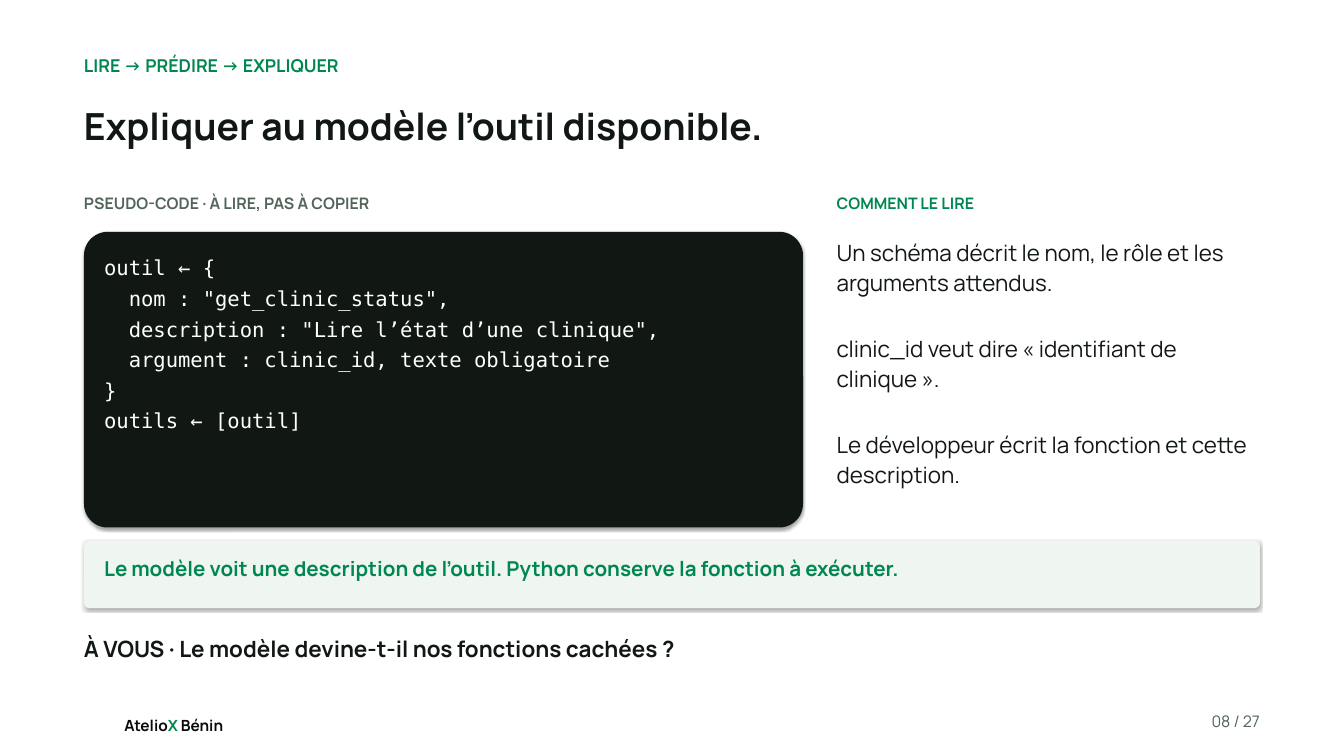
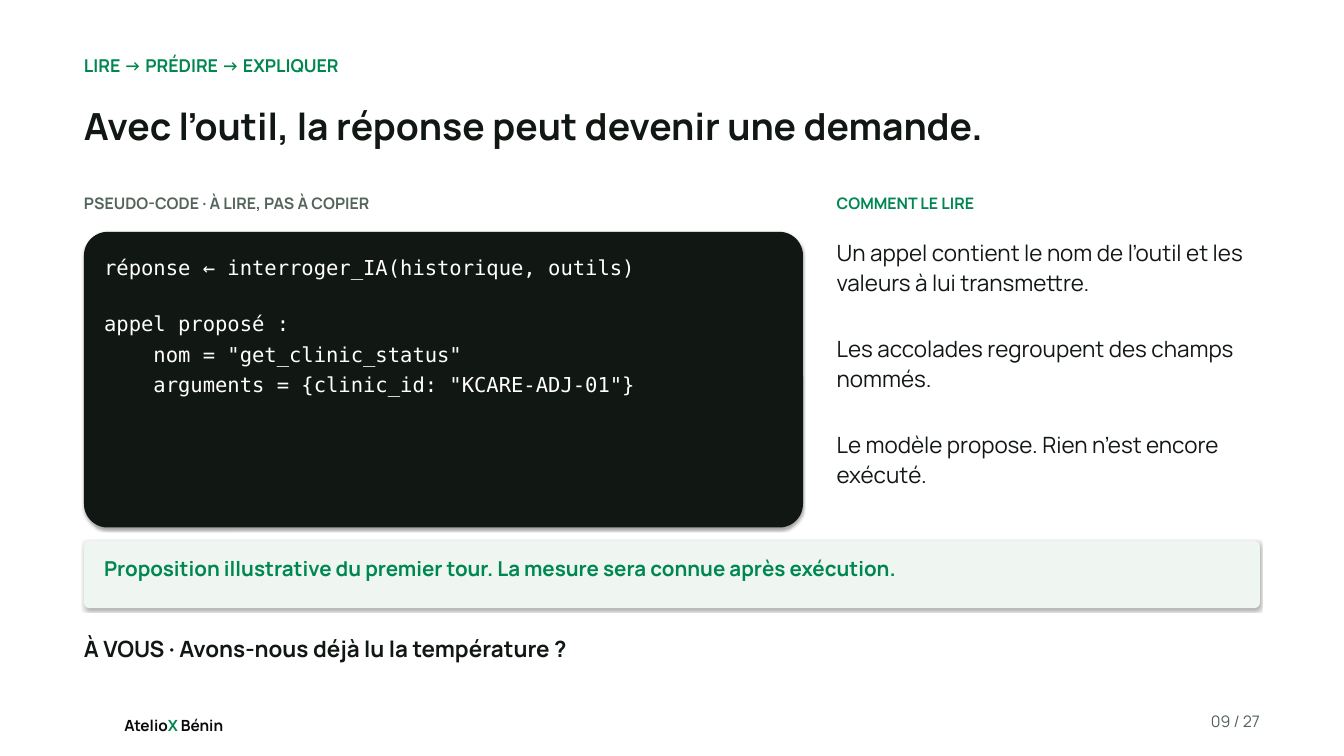
from dataclasses import dataclass

from lxml import etree
from pptx import Presentation
from pptx.dml.color import RGBColor
from pptx.enum.shapes import MSO_SHAPE
from pptx.enum.text import MSO_AUTO_SIZE, PP_ALIGN
from pptx.oxml.ns import qn
from pptx.util import Inches, Pt

ROUND = MSO_SHAPE.ROUNDED_RECTANGLE
GROW = MSO_AUTO_SIZE.SHAPE_TO_FIT_TEXT
LEFT, RIGHT = PP_ALIGN.LEFT, PP_ALIGN.RIGHT


@dataclass(frozen=True)
class Theme:
    paper: str = "FFFFFF"
    ink: str = "111713"
    black: str = "0A0A0A"
    green: str = "008751"
    grey: str = "53645A"
    mint: str = "EFF6F1"
    sans: str = "Manrope"
    mono: str = "DejaVu Sans Mono"
    title: float = 40
    body: float = 24
    code: float = 22
    tag: float = 19
    label: float = 17
    mark: float = 16.5
    lead: float = 1.13
    after: float = 7
    tight: float = 3
    gap: float = 38
    split: float = 30


EDGE, WIDE = 1.25, 17.5
SIDE, SPAN = 12.45, 6.3
PAD = 0.3
TOTAL = 27


class Deck:
    def __init__(self, theme):
        self.theme = theme
        self.show = Presentation()
        self.show.slide_width = Inches(20)
        self.show.slide_height = Inches(11.25)
        self.slide = None

    def start(self):
        self.slide = self.show.slides.add_slide(self.show.slide_layouts[6])
        fill = self.slide.background.fill
        fill.solid()
        fill.fore_color.rgb = RGBColor.from_string(self.theme.paper)

    def text(self, spot, paras, size, tint, bold=False, face=None,
             align=LEFT, lead=None, after=None):
        box = self.slide.shapes.add_textbox(*map(Inches, spot))
        frame = box.text_frame
        frame.word_wrap = True
        frame.auto_size = GROW
        frame.margin_left = frame.margin_right = 0
        frame.margin_top = frame.margin_bottom = 0
        for i, runs in enumerate(paras):
            para = frame.paragraphs[0] if i == 0 else frame.add_paragraph()
            para.alignment = align
            para.line_spacing = lead or self.theme.lead
            para.space_after = Pt(self.theme.after if after is None else after)
            for words, shade in [(runs, tint)] if isinstance(runs, str) else runs:
                run = para.add_run()
                run.text = words
                run.font.name = face or self.theme.sans
                run.font.size = Pt(size)
                run.font.bold = bold
                run.font.color.rgb = RGBColor.from_string(shade)
        return frame.paragraphs

    def card(self, spot, tint):
        card = self.slide.shapes.add_shape(ROUND, *map(Inches, spot))
        card.adjustments[0] = 0.08
        card.fill.solid()
        card.fill.fore_color.rgb = RGBColor.from_string(tint)
        card.line.fill.background()
        card.shadow.inherit = False
        glow = card.element.spPr.find(qn("a:effectLst"))
        shade = etree.SubElement(glow, qn("a:outerShdw"), blurRad=str(Pt(3.1)),
                                 dist=str(Pt(1.8)), dir="5400000",
                                 rotWithShape="0")
        hue = etree.SubElement(shade, qn("a:srgbClr"), val="000000")
        etree.SubElement(hue, qn("a:alpha"), val="35000")

    def foot(self, page):
        t = self.theme
        mark = [("Atelio", t.black), ("X", t.green), (" Bénin", t.black)]
        self.text((1.85, 10.61, 1.73, 0.28), [mark], t.mark, t.black, True,
                  lead=Pt(23.1), after=0)
        self.text((17.35, 10.55, 1.4, 0.4), [f"{page:02} / {TOTAL}"],
                  t.label, t.grey, align=RIGHT)

    def head(self, title):
        t = self.theme
        self.text((EDGE, 0.78, WIDE, 0.4), ["LIRE → PRÉDIRE → EXPLIQUER"],
                  t.tag, t.green, True)
        self.text((EDGE, 1.45, WIDE, 1.35), [title], t.title, t.ink, True)

    def code(self, blocks):
        t = self.theme
        self.text((EDGE, 2.85, 10.8, 0.45),
                  ["PSEUDO-CODE · À LIRE, PAS À COPIER"], t.label, t.grey, True)
        self.card((EDGE, 3.45, 10.7, 4.4), t.ink)
        lines = [line for block in blocks for line in block]
        paras = self.text((EDGE + PAD, 3.75, 10.1, 3.95), lines, t.code,
                          t.paper, face=t.mono, after=t.tight)
        last = 0
        for block in blocks[:-1]:
            last += len(block)
            paras[last - 1].space_after = Pt(t.split)

    def guide(self, notes):
        t = self.theme
        self.text((SIDE, 2.85, SPAN, 0.45), ["COMMENT LE LIRE"],
                  t.label, t.green, True)
        paras = self.text((SIDE, 3.5, SPAN, 4.5), notes, t.body, t.ink,
                          after=t.gap)
        paras[-1].space_after = Pt(t.after)

    def band(self, words):
        t = self.theme
        self.card((EDGE, 8.05, WIDE, 1), t.mint)
        self.text((EDGE + PAD, 8.23, WIDE - 2 * PAD, 0.78), [words],
                  t.code, t.green, True)

    def ask(self, words):
        t = self.theme
        self.text((EDGE, 9.4, WIDE, 0.8), [f"À VOUS · {words}"],
                  t.body, t.ink, True)

    def lesson(self, page, title, blocks, notes, point, quiz):
        self.start()
        self.foot(page)
        self.head(title)
        self.code(blocks)
        self.guide(notes)
        self.band(point)
        self.ask(quiz)


LESSONS = [
    dict(
        title="Expliquer au modèle l’outil disponible.",
        blocks=[[
            "outil ← {",
            '  nom : "get_clinic_status",',
            '  description : "Lire l’état d’une clinique",',
            "  argument : clinic_id, texte obligatoire",
            "}",
            "outils ← [outil]",
        ]],
        notes=[
            "Un schéma décrit le nom, le rôle et les arguments attendus.",
            "clinic_id veut dire « identifiant de clinique ».",
            "Le développeur écrit la fonction et cette description.",
        ],
        point="Le modèle voit une description de l’outil. "
              "Python conserve la fonction à exécuter.",
        quiz="Le modèle devine-t-il nos fonctions cachées ?",
    ),
    dict(
        title="Avec l’outil, la réponse peut devenir une demande.",
        blocks=[
            ["réponse ← interroger_IA(historique, outils)"],
            [
                "appel proposé :",
                '    nom = "get_clinic_status"',
                '    arguments = {clinic_id: "KCARE-ADJ-01"}',
            ],
        ],
        notes=[
            "Un appel contient le nom de l’outil et les valeurs à lui transmettre.",
            "Les accolades regroupent des champs nommés.",
            "Le modèle propose. Rien n’est encore exécuté.",
        ],
        point="Proposition illustrative du premier tour. "
              "La mesure sera connue après exécution.",
        quiz="Avons-nous déjà lu la température ?",
    ),
]


def main():
    deck = Deck(Theme())
    for page, lesson in enumerate(LESSONS, 8):
        deck.lesson(page, **lesson)
    deck.show.save("out.pptx")


if __name__ == "__main__":
    main()
